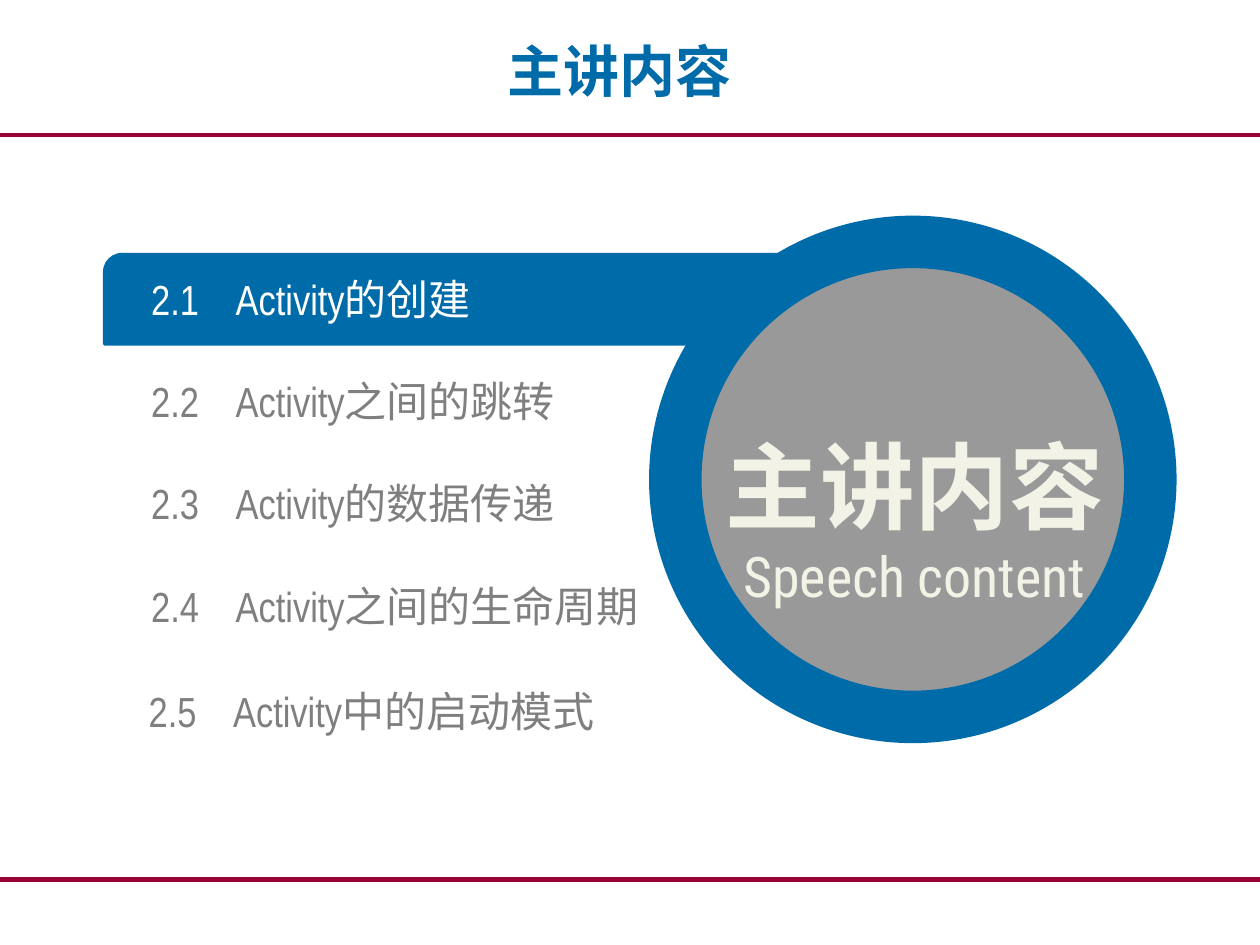
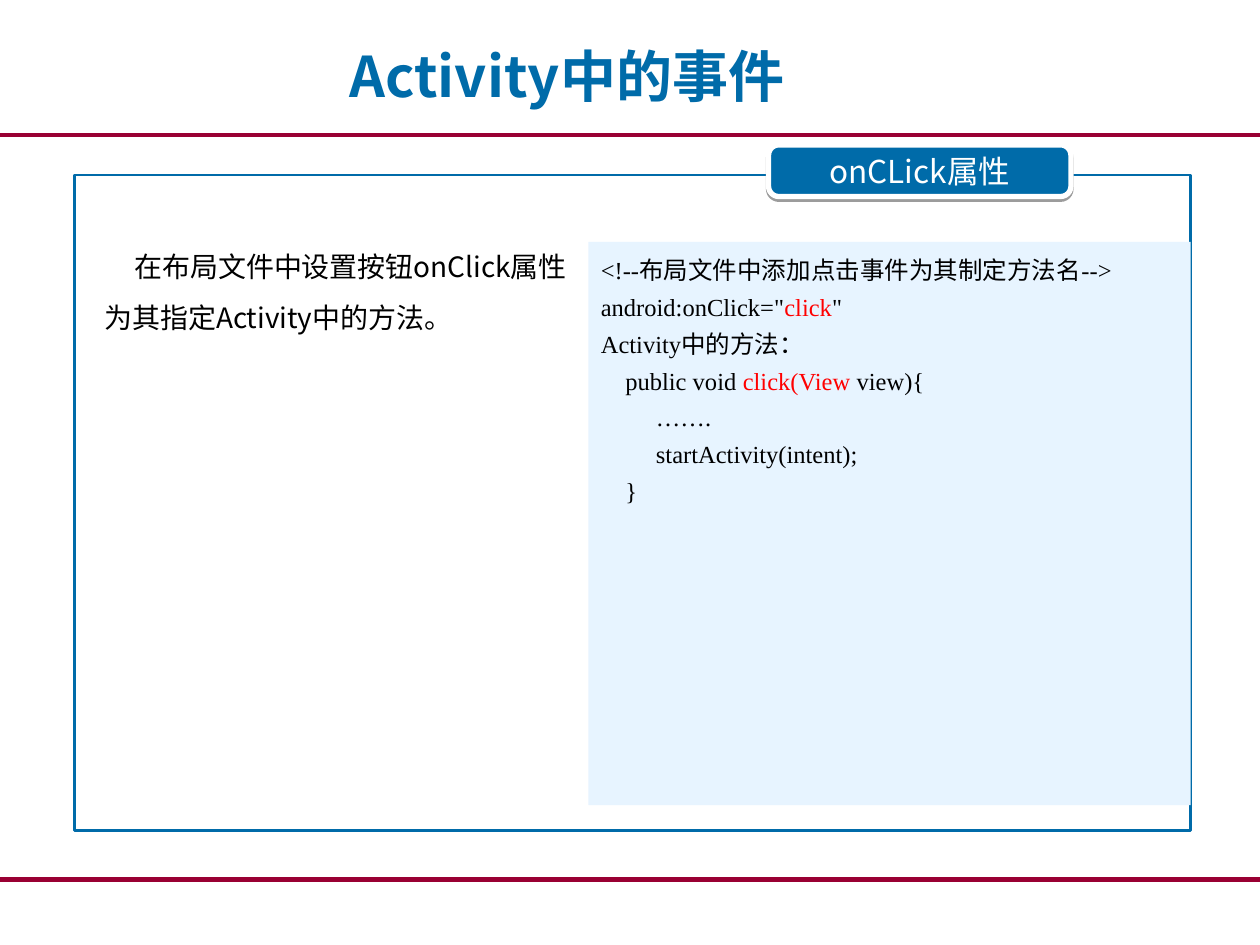
from lxml import etree
from pptx import Presentation
from pptx.dml.color import RGBColor
from pptx.enum.shapes import MSO_CONNECTOR, MSO_SHAPE
from pptx.enum.text import MSO_ANCHOR, MSO_AUTO_SIZE, PP_ALIGN
from pptx.oxml.ns import qn
from pptx.util import Inches, Pt

LEFT, CENTER, JUSTIFY = PP_ALIGN.LEFT, PP_ALIGN.CENTER, PP_ALIGN.JUSTIFY
TOP, MIDDLE = MSO_ANCHOR.TOP, MSO_ANCHOR.MIDDLE
GROW = MSO_AUTO_SIZE.SHAPE_TO_FIT_TEXT
RECT, ELLIPSE = MSO_SHAPE.RECTANGLE, MSO_SHAPE.OVAL
ROUNDED, DIAGONAL = MSO_SHAPE.ROUNDED_RECTANGLE, MSO_SHAPE.ROUND_2_DIAG_RECTANGLE

# Content: agenda entries are number, topic, left, top
AGENDA_TITLE = "主讲内容"
AGENDA_SUBTITLE = "Speech content"
AGENDA = [
    ("2.1", "Activity的创建", 1.2, 2.17),
    ("2.2", "Activity之间的跳转", 1.2, 2.98),
    ("2.3", "Activity的数据传递", 1.2, 3.79),
    ("2.4", "Activity之间的生命周期", 1.2, 4.61),
    ("2.5", "Activity中的启动模式", 1.18, 5.44),
]
EVENT_TITLE = "Activity中的事件"
EVENT_TAB = "onCLick属性"
EVENT_TEXT = "在布局文件中设置按钮onClick属性为其指定Activity中的方法。"
# Code lines are lists of (text, colour)
CODE = [
    [("<!--布局文件中添加点击事件为其制定方法名-->", "black")],
    [('android:onClick="', "black"), ("click", "red"), ('"', "black")],
    [("Activity中的方法：", "black")],
    [("    public void ", "black"), ("click(View", "red"), (" view){", "black")],
    [("         …….", "black")],
    [("         startActivity(intent);", "black")],
    [("    }", "black")],
]

# Shared look
COLORS = {
    "blue": "006BA9", "rule": "990033", "grey": "7F7F7F", "disc": "999999",
    "cream": "F2F2E6", "code": "E7F4FF", "white": "FFFFFF",
    "black": "000000", "red": "FF0000",
}
CJK = "Noto Sans CJK SC"
RULES = [(6.98, 3), (1.07, 2)]  # height, width in points
INSETS = (0.1, 0.05)
TITLE = {"name": CJK, "size": Pt(32), "bold": True}
ITEM = {"name": "Arial Narrow", "size": Pt(24)}
DISC_TITLE = {"name": CJK, "size": Pt(54), "bold": True}
DISC_SUBTITLE = {"name": "Roboto Condensed", "size": Pt(32), "bold": False}
BODY = {"name": CJK, "size": Pt(16)}
TAB = {"name": CJK, "size": Pt(18)}
CODE_FONT = {"name": "Times New Roman", "size": Pt(14)}


def rgb(name):
    return RGBColor.from_string(COLORS[name])


def add_runs(p, runs, font, align=LEFT, spacing=None):
    p.alignment = align
    if spacing:
        p.line_spacing = spacing
    for text, color in runs:
        r = p.add_run()
        r.text = text
        for key, value in font.items():
            setattr(r.font, key, value)
        r.font.color.rgb = rgb(color)
        latin = r.font._element.find(qn("a:latin"))
        ea = etree.Element(qn("a:ea"), typeface=CJK)
        latin.addnext(ea)


def set_frame(sp, anchor=TOP, insets=INSETS, auto_size=MSO_AUTO_SIZE.NONE):
    tf = sp.text_frame
    across, down = (Inches(v) for v in insets)
    settings = {
        "word_wrap": True, "vertical_anchor": anchor, "auto_size": auto_size,
        "margin_left": across, "margin_right": across,
        "margin_top": down, "margin_bottom": down,
    }
    for key, value in settings.items():
        setattr(tf, key, value)
    return tf


def add_text(s, box, **frame):
    return set_frame(s.shapes.add_textbox(*map(Inches, box)), **frame)


def add_shape(s, kind, box, fill=None, line=None, width=0):
    sp = s.shapes.add_shape(kind, *map(Inches, box))
    sp.shadow.inherit = False
    if fill:
        sp.fill.solid()
        sp.fill.fore_color.rgb = rgb(fill)
    else:
        sp.fill.background()
    if line:
        sp.line.color.rgb = rgb(line)
        sp.line.width = Pt(width)
    else:
        sp.line.fill.background()
    return sp


def add_drop_shadow(sp, distance, alpha):
    effects = sp._element.spPr.find(qn("a:effectLst"))
    shadow = etree.SubElement(effects, qn("a:outerShdw"), blurRad="0",
                              dist=str(Pt(distance)), dir="5400000", rotWithShape="0")
    color = etree.SubElement(shadow, qn("a:srgbClr"), val=COLORS["black"])
    etree.SubElement(color, qn("a:alpha"), val=str(alpha * 1000))


def add_slide(prs, title, left, top):
    s = prs.slides.add_slide(prs.slide_layouts[6])
    for y, width in RULES:
        line = s.shapes.add_connector(MSO_CONNECTOR.STRAIGHT, 0, Inches(y),
                                      prs.slide_width, Inches(y))
        line.line.color.rgb = rgb("rule")
        line.line.width = Pt(width)
        etree.SubElement(line._element.spPr, qn("a:effectLst"))
    tf = add_text(s, (left, top, 9, 0.99), anchor=MIDDLE)
    add_runs(tf.paragraphs[0], [(title, "blue")], TITLE, CENTER)
    return s


def build_agenda(prs):
    s = add_slide(prs, AGENDA_TITLE, 0.42, 0.06)

    # Highlight behind the current topic
    bar = add_shape(s, DIAGONAL, (0.83, 2.02, 5.35, 0.71), "blue", "blue", 2)
    bar.adjustments[0] = 0.2

    # Topics, with the names lined up on a tab stop
    for i, (number, topic, left, top) in enumerate(AGENDA):
        tf = add_text(s, (left, top, 4.19, 0.4), anchor=MIDDLE, insets=(0, 0),
                      auto_size=GROW)
        p = tf.paragraphs[0]
        tabs = etree.SubElement(p._p.get_or_add_pPr(), qn("a:tabLst"))
        etree.SubElement(tabs, qn("a:tab"), pos=str(Inches(0.67)), algn="l")
        color = "grey" if i else "white"
        add_runs(p, [(f"{number}\t{topic}", color)], ITEM)

    # Disc with heading
    add_shape(s, ELLIPSE, (5.36, 1.92, 3.77, 3.77), "disc", "blue", 30)
    tf = add_text(s, (5.31, 2.89, 3.9, 1.99), anchor=MIDDLE, auto_size=GROW)
    add_runs(tf.paragraphs[0], [(AGENDA_TITLE, "cream")], DISC_TITLE, CENTER, 1.5)
    add_runs(tf.add_paragraph(), [(AGENDA_SUBTITLE, "cream")], DISC_SUBTITLE, CENTER)


def build_event(prs):
    s = add_slide(prs, EVENT_TITLE, 0, 0.1)

    # Explanation
    p = add_text(s, (0.53, 1.8, 4.15, 4.78)).paragraphs[0]
    pPr = p._p.get_or_add_pPr()
    pPr.set("marL", str(Inches(0.2)))
    pPr.set("indent", str(Inches(0.24)))
    add_runs(p, [(EVENT_TEXT, "black")], BODY, spacing=1.5)

    # Frame and its tab
    add_shape(s, RECT, (0.59, 1.39, 8.86, 5.2), line="blue", width=1.5)
    tab = add_shape(s, ROUNDED, (6.1, 1.15, 2.4, 0.41), "blue", "white", 3)
    tab.adjustments[0] = 0.2
    add_drop_shadow(tab, 1.6, 38)
    tf = set_frame(tab, MIDDLE, (0.24, 0.06))
    add_runs(tf.paragraphs[0], [(EVENT_TAB, "white")], TAB, CENTER)

    # Code panel
    tf = set_frame(add_shape(s, RECT, (4.67, 1.92, 4.78, 4.47), "code"))
    for i, runs in enumerate(CODE):
        p = tf.add_paragraph() if i else tf.paragraphs[0]
        add_runs(p, runs, CODE_FONT, JUSTIFY, 1.25)


def main():
    prs = Presentation()
    prs.slide_width, prs.slide_height = Inches(10), Inches(7.5)
    build_agenda(prs)
    build_event(prs)
    prs.save("out.pptx")


if __name__ == "__main__":
    main()
